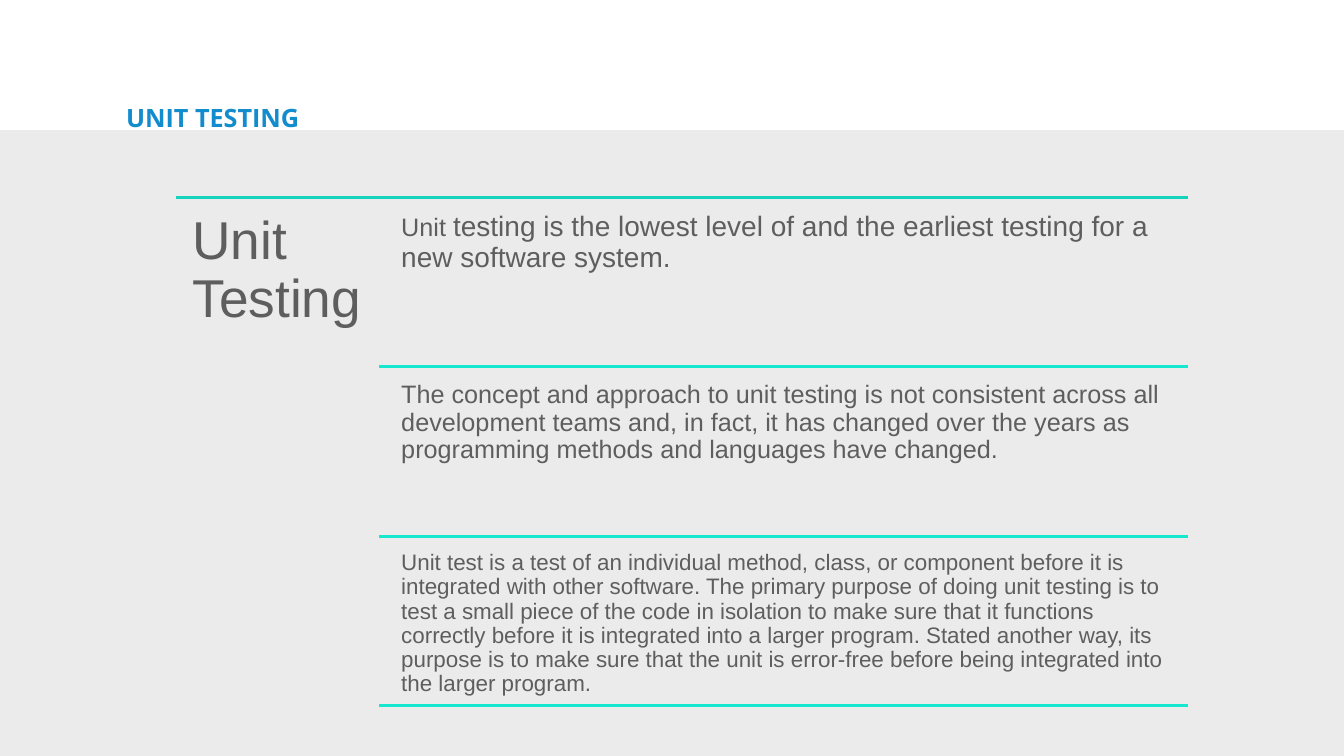
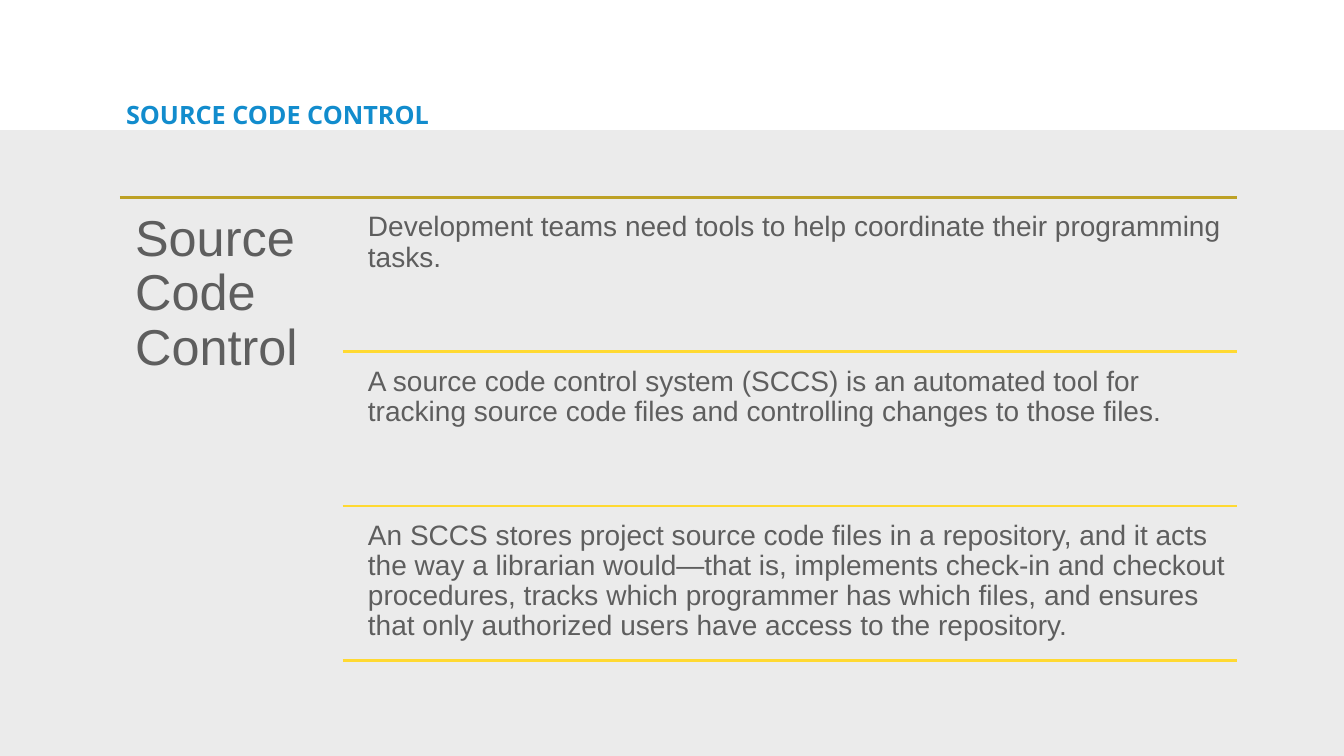
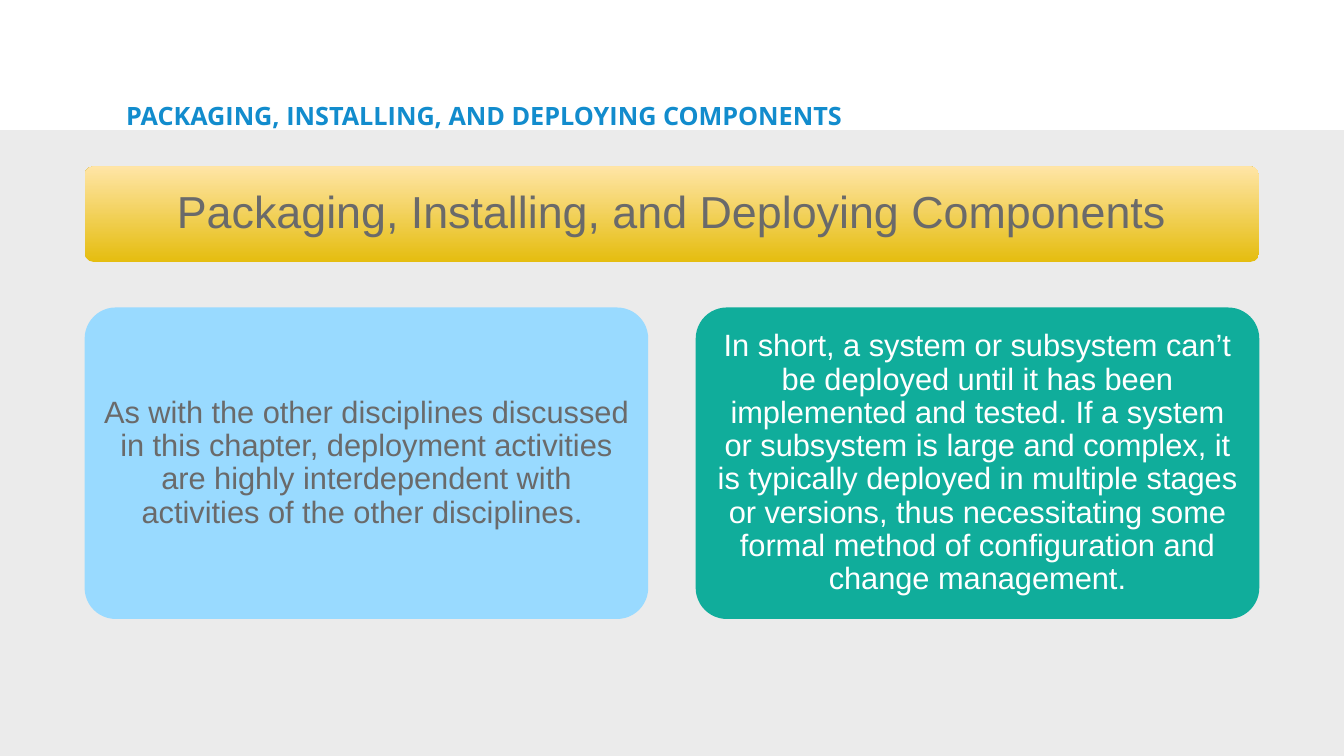
import pptx
import pptx.util
import pptx.dml.color
import pptx.enum.shapes
import pptx.enum.text
import pptx.oxml.ns
import lxml.etree

COLORS = {
    "band": "EBEBEB", "title": "128CCD", "body": "5E5E5E", "card_text": "6A6A6A",
    "white": "FFFFFF", "teal_dark": "14D2BC", "teal": "16E7CF",
    "gold_dark": "BDA125", "gold": "FFD932",
    "header_low": "E5BD0F", "header_high": "FFE5A6", "sky": "99DAFF", "green": "10AD9B",
}
RGB = {name: pptx.dml.color.RGBColor.from_string(code) for name, code in COLORS.items()}
KINDS = pptx.enum.shapes.MSO_SHAPE
TOP, MIDDLE = pptx.enum.text.MSO_ANCHOR.TOP, pptx.enum.text.MSO_ANCHOR.MIDDLE
LEFT, CENTER = pptx.enum.text.PP_ALIGN.LEFT, pptx.enum.text.PP_ALIGN.CENTER

deck = pptx.Presentation()
deck.slide_width = pptx.util.Inches(13.33)
deck.slide_height = pptx.util.Inches(7.5)


def share(x, y, width, height):
    """Turn percentages of the slide's size into lengths."""
    return [round(percent * side / 100) for percent, side in
            zip((x, y, width, height), (deck.slide_width, deck.slide_height) * 2)]


def write(frame, runs, inset, color="body", face="Arial", bold=False,
          spacing=0.9, align=LEFT, anchor=TOP):
    """Fill a text frame with one paragraph of (text, size) runs."""
    margin = pptx.util.Inches(inset)
    frame_format = {"word_wrap": True, "vertical_anchor": anchor,
                    "auto_size": pptx.enum.text.MSO_AUTO_SIZE.NONE}
    frame_format.update({f"margin_{side}": margin
                         for side in ("left", "top", "right", "bottom")})
    for key, value in frame_format.items():
        setattr(frame, key, value)
    paragraph = frame.paragraphs[0]
    paragraph.alignment, paragraph.line_spacing = align, spacing
    for text, size in runs:
        run = paragraph.add_run()
        run.text = text
        for key, value in {"name": face, "size": pptx.util.Pt(size), "bold": bold}.items():
            setattr(run.font, key, value)
        run.font.color.rgb = RGB[color]


# Title and grey band on every slide
BAND_TOP = 17.2
TITLE_LEFT = 8.93
titles = [
    ("UNIT TESTING", 12.13),
    ("SOURCE CODE CONTROL", 11.73),
    ("PACKAGING, INSTALLING, AND DEPLOYING COMPONENTS", 11.87),
]
slides = []
for title, title_top in titles:
    slide = deck.slides.add_slide(deck.slide_layouts[6])
    band = slide.shapes.add_shape(KINDS.RECTANGLE, *share(0, BAND_TOP, 100, 100 - BAND_TOP))
    band.shadow.inherit = False
    band.fill.solid()
    band.fill.fore_color.rgb = RGB["band"]
    band.line.fill.background()
    heading = slide.shapes.add_textbox(
        *share(TITLE_LEFT, title_top, 60.39, BAND_TOP + 0.27 - title_top))
    write(heading.text_frame, [(title, 18)], 0.06, "title", "Open Sans", True, 1.15)
    slides.append(slide)

# Slides 1 and 2: a topic beside three ruled statements
LIST_TOP = 26.13
topics = [
    {
        "topic": ("Unit Testing", 38), "left": 13.13, "split": 28.2, "right": 88.37,
        "pitch": 22.4, "indent": 1.13, "drop": 1.07, "topic_inset": 0.16, "inset": 0.07,
        "top_rule": "teal_dark", "rule": "teal",
        "statements": [
            [("Unit ", 18),
             ("testing is the lowest level of and the earliest testing for a new software "
              "system.", 20)],
            [("The concept and approach to unit testing is not consistent across all "
              "development teams and, in fact, it has changed over the years as programming "
              "methods and languages have changed.", 18)],
            [("Unit test is a test of an individual method, class, or component before it is "
              "integrated with other software. The primary purpose of doing unit testing is to "
              "test a small piece of the code in isolation to make sure that it functions "
              "correctly before it is integrated into a larger program. Stated another way, its "
              "purpose is to make sure that the unit is error-free before being integrated into "
              "the larger program.", 16)],
        ],
    },
    {
        "topic": ("Source Code Control", 36), "left": TITLE_LEFT, "split": 25.5, "right": 92.05,
        "pitch": 20.4, "indent": 1.28, "drop": 0.93, "topic_inset": 0.15, "inset": 0.08,
        "top_rule": "gold_dark", "rule": "gold",
        "statements": [
            [("Development teams need tools to help coordinate their programming tasks.", 20)],
            [("A source code control system (SCCS) is an automated tool for tracking source "
              "code files and controlling changes to those files.", 20)],
            [("An SCCS stores project source code files in a repository, and it acts the way a "
              "librarian would—that is, implements check-in and checkout procedures, tracks "
              "which programmer has which files, and ensures that only authorized users have "
              "access to the repository.", 20)],
        ],
    },
]
for slide, plan in zip(slides, topics):
    left, split, right, pitch = (plan[key] for key in ("left", "split", "right", "pitch"))
    statements = plan["statements"]
    topic = slide.shapes.add_textbox(
        *share(left, LIST_TOP, split - left, pitch * len(statements)))
    write(topic.text_frame, [plan["topic"]], plan["topic_inset"])

    text_left = split + plan["indent"]
    for row, runs in enumerate(statements):
        statement = slide.shapes.add_textbox(
            *share(text_left, LIST_TOP + row * pitch + plan["drop"],
                   right - text_left, pitch - plan["drop"]))
        write(statement.text_frame, runs, plan["inset"])

    for row in range(len(statements) + 1):
        start, color = (split, plan["rule"]) if row else (left, plan["top_rule"])
        y = LIST_TOP + row * pitch
        rule = slide.shapes.add_connector(
            pptx.enum.shapes.MSO_CONNECTOR.STRAIGHT, *share(start, y, right, y))
        rule.line.width = pptx.util.Pt(2)
        rule.line.color.rgb = RGB[color]
        lxml.etree.SubElement(rule._element.spPr, pptx.oxml.ns.qn("a:effectLst"))

# Slide 3: a header above two equal cards
MARGIN, GUTTER = 6.3, 3.53
FULL = 100 - 2 * MARGIN
CARD = (FULL - GUTTER) / 2
panels = [
    ("Packaging, Installing, and Deploying Components", 32, 0.13, "card_text",
     ("header_low", "header_high"), (MARGIN, 22, FULL, 12.67)),
    ("As with the other disciplines discussed in this chapter, deployment activities are "
     "highly interdependent with activities of the other disciplines. ", 22, 0.09, "card_text",
     ("sky",), (MARGIN, 40.67, CARD, 41.2)),
    ("In short, a system or subsystem can’t be deployed until it has been implemented and "
     "tested. If a system or subsystem is large and complex, it is typically deployed in "
     "multiple stages or versions, thus necessitating some formal method of configuration and "
     "change management.", 22, 0.09, "white",
     ("green",), (MARGIN + CARD + GUTTER, 40.67, CARD, 41.2)),
]
for text, size, inset, color, fills, area in panels:
    panel = slides[2].shapes.add_shape(KINDS.ROUNDED_RECTANGLE, *share(*area))
    panel.adjustments[0] = 0.1
    panel.shadow.inherit = False
    panel.line.fill.background()
    if len(fills) > 1:
        panel.fill.gradient()
        panel.fill.gradient_angle = 90
        for stop, fill in zip(panel.fill.gradient_stops, fills):
            stop.color.rgb = RGB[fill]
    else:
        panel.fill.solid()
        panel.fill.fore_color.rgb = RGB[fills[0]]
    write(panel.text_frame, [(text, size)], inset, color, align=CENTER, anchor=MIDDLE)

deck.save("out.pptx")
